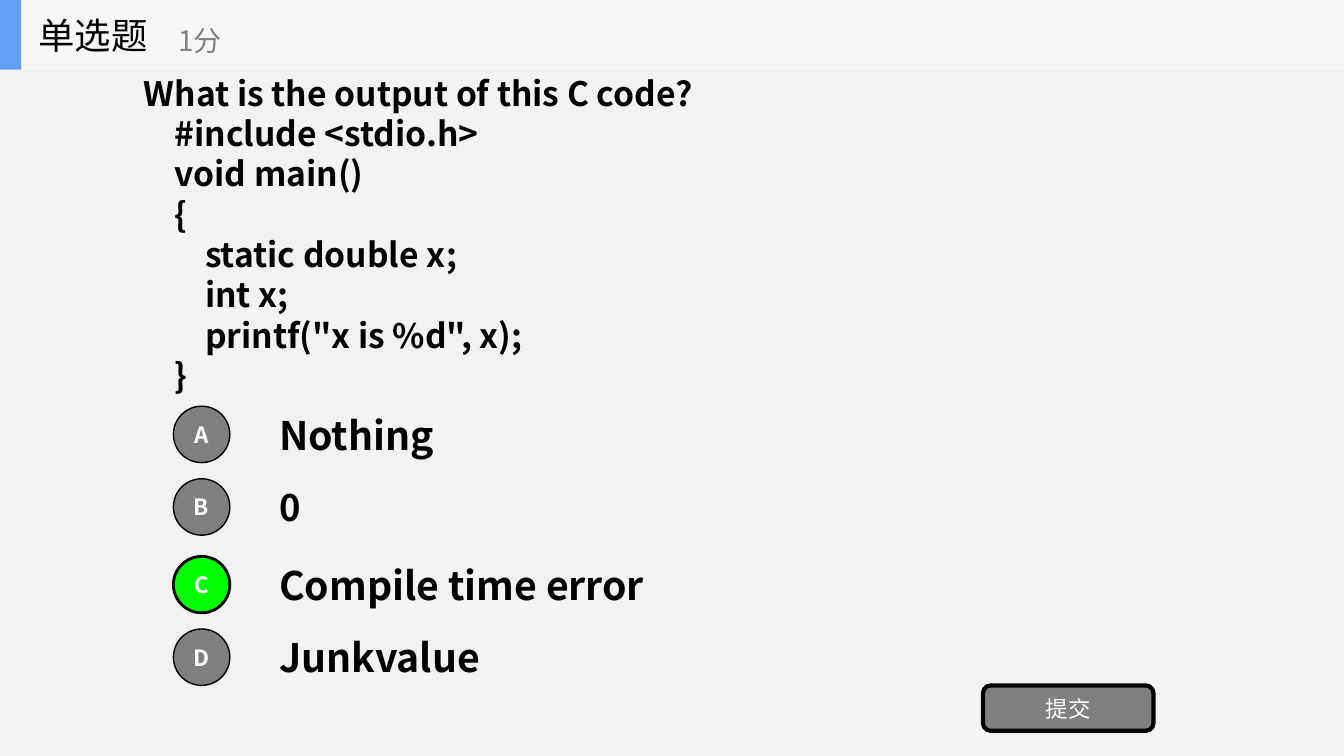
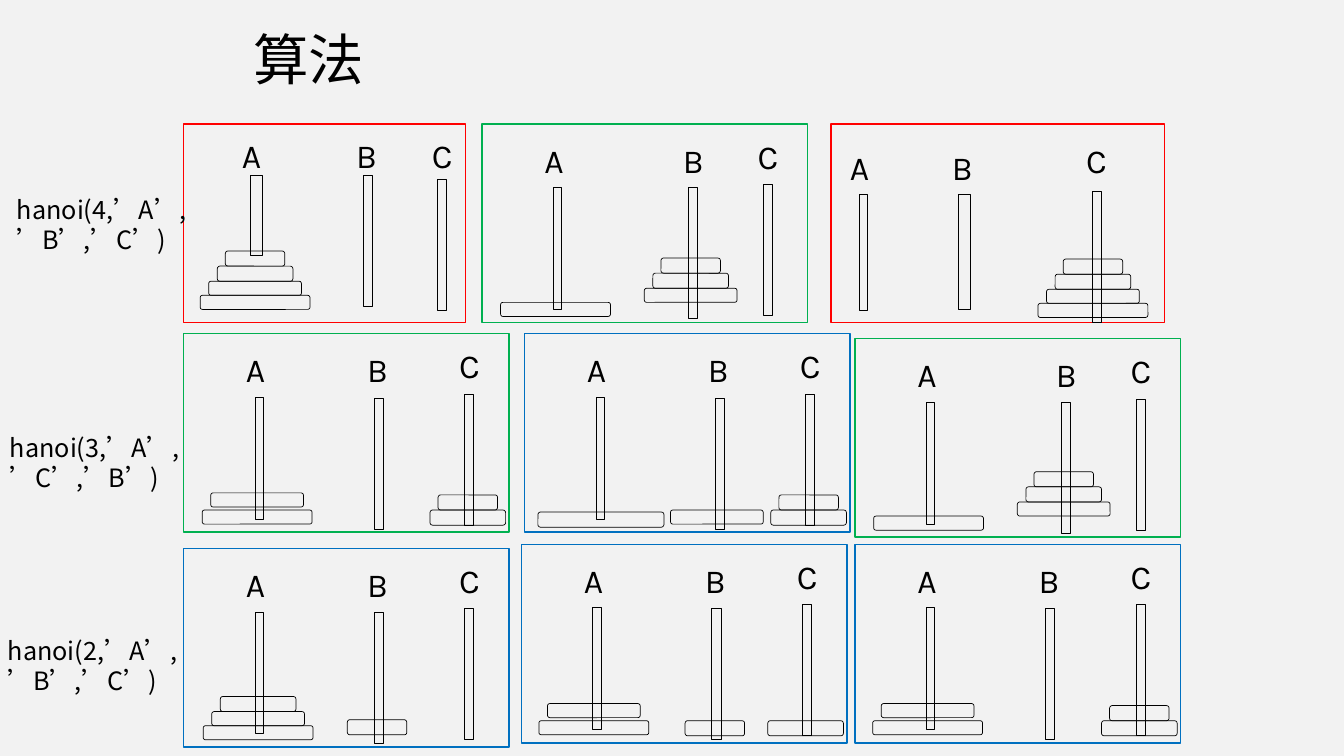
from lxml import etree
from pptx import Presentation
from pptx.dml.color import RGBColor
from pptx.enum.lang import MSO_LANGUAGE_ID
from pptx.enum.shapes import MSO_SHAPE
from pptx.enum.text import MSO_ANCHOR, MSO_AUTO_SIZE, PP_ALIGN
from pptx.oxml.ns import qn
from pptx.util import Inches, Pt

LEFT, CENTER = PP_ALIGN.LEFT, PP_ALIGN.CENTER
TOP, MIDDLE = MSO_ANCHOR.TOP, MSO_ANCHOR.MIDDLE
RECT, ROUND, OVAL = MSO_SHAPE.RECTANGLE, MSO_SHAPE.ROUNDED_RECTANGLE, MSO_SHAPE.OVAL
CHINESE = MSO_LANGUAGE_ID.SIMPLIFIED_CHINESE
NO_FIT = MSO_AUTO_SIZE.NONE

COLORS = {
    "paper": "F2F2F2", "band": "F6F7F8", "accent": "639EF4", "ink": "000000",
    "white": "FFFFFF", "gray": "808080", "correct": "00FF00",
    "red": "FF0000", "green": "00B050", "blue": "0070C0",
}
BODY_FONT, LABEL_FONT = "Noto Sans CJK SC", "Karla"

# The grid has square cells: 13.33 columns by 7.5 rows
COLUMNS, ROWS = 13.33, 7.5
CELL = Inches(1)

QUESTION = """What is the output of this C code?
    #include <stdio.h>
    void main()
    {
        static double x;
        int x;
        printf("x is %d", x);
    }""".split("\n")

# Letter, row, answer, text size, fill, line width
OPTIONS = [
    ("A", 4.03, "Nothing", 28, "gray", 1),
    ("B", 4.75, "0", 26, "gray", 1),
    ("C", 5.52, "Compile time error", 28, "correct", 2),
    ("D", 6.24, "Junkvalue", 28, "gray", 1),
]

# Pegs A, B, C within a frame: column, row, width, height, label column, label row
PEG_A = (0.71, 0.63, 0.08, 1.21, 0.52, 0.16)
PEG_C = (2.79, 0.6, 0.09, 1.3, 2.64, 0.12)
PEGS_EVEN = [PEG_A, (1.89, 0.64, 0.09, 1.3, 1.73, 0.16), PEG_C]
PEGS_RIGHT = [PEG_A, (2.05, 0.63, 0.09, 1.3, 1.9, 0.16), PEG_C]
PEGS_START = [(0.66, 0.51, 0.12, 0.79, 0.48, 0.11),
              (1.78, 0.51, 0.09, 1.3, 1.62, 0.11),
              (2.52, 0.55, 0.09, 1.3, 2.37, 0.11)]
PEGS_DONE = [(0.28, 0.7, 0.08, 1.15, 0.09, 0.23),
             (1.27, 0.7, 0.11, 1.14, 1.11, 0.23),
             (2.59, 0.67, 0.09, 1.3, 2.44, 0.16)]

# Disk width and height by rank
DISKS = {1: (0.59, 0.15), 2: (0.75, 0.15), 3: (0.92, 0.14),
         4: (1.09, 0.14), 5: (1.25, 0.15)}
FRAME_HEIGHT = 1.97

# Column, row, width, colour, pegs, stacks (centre, bottom, ranks from the bottom up)
FRAMES = [
    (1.82, 1.23, 2.8, "red", PEGS_START, [(0.71, 1.84, (4, 3, 2, 1))]),
    (4.78, 1.23, 3.23, "green", PEGS_RIGHT,
     [(0.73, 1.91, (4,)), (2.07, 1.77, (3, 2, 1))]),
    (8.24, 1.23, 3.31, "red", PEGS_DONE, [(2.6, 1.92, (4, 3, 2, 1))]),
    (1.82, 3.31, 3.23, "green", PEGS_EVEN,
     [(0.73, 1.89, (4,)), (0.73, 1.72, (3,)), (2.82, 1.9, (2, 1))]),
    (5.2, 3.31, 3.23, "blue", PEGS_EVEN,
     [(0.76, 1.92, (5,)), (1.91, 1.89, (3,)), (2.82, 1.9, (2, 1))]),
    (8.48, 3.36, 3.23, "green", PEGS_RIGHT,
     [(0.73, 1.9, (4,)), (2.07, 1.76, (3, 2, 1))]),
    (1.82, 5.44, 3.23, "blue", PEGS_EVEN,
     [(0.74, 1.9, (4, 3, 2)), (1.92, 1.85, (1,))]),
    (5.17, 5.4, 3.23, "blue", PEGS_EVEN,
     [(0.72, 1.89, (4,)), (0.72, 1.72, (3,)), (1.92, 1.9, (1,)), (2.82, 1.9, (2,))]),
    (8.48, 5.4, 3.23, "blue", PEGS_EVEN,
     [(0.72, 1.89, (4,)), (0.72, 1.72, (3,)), (2.82, 1.9, (2, 1))]),
]

CALLS = [
    (0.07, 1.88, "hanoi(4,’A’,’B’,’C’)"),
    (0, 4.24, "hanoi(3,’A’,’C’,’B’)"),
    (-0.02, 6.25, "hanoi(2,’A’,’B’,’C’)"),
]


def rgb(name):
    return RGBColor.from_string(COLORS[name])


def cells(*lengths):
    return [round(length * CELL) for length in lengths]


class SlideBuilder:
    """Holds the deck's style and the slide being built."""

    def __init__(self):
        self.deck = Presentation()
        self.deck.slide_width, self.deck.slide_height = cells(COLUMNS, ROWS)
        background = self.deck.slide_master.background.fill
        background.solid()
        background.fore_color.rgb = rgb("paper")
        self.slide = None

    def new_slide(self):
        self.slide = self.deck.slides.add_slide(self.deck.slide_layouts[5])

    def fill_text(self, box, lines, size, color="ink", bold=False, align=LEFT,
                  anchor=MIDDLE, font=BODY_FONT, inset=0.1, spacing=None):
        frame = box.text_frame
        frame.auto_size = NO_FIT
        frame.word_wrap = True
        frame.vertical_anchor = anchor
        frame.margin_left, frame.margin_right = cells(inset, inset)
        frame.margin_top, frame.margin_bottom = cells(inset / 2, inset / 2)
        frame.text = "\n".join(lines)
        for para in frame.paragraphs:
            para.alignment = align
            if spacing:
                para.line_spacing = spacing
            style = para.font
            style.size, style.bold, style.name = Pt(size), bold, font
            style.color.rgb = rgb(color)
            style.language_id = CHINESE
            # East Asian characters take the same font
            latin = style._element.find(qn("a:latin"))
            east_asian = etree.Element(qn("a:ea"), typeface=font)
            latin.addnext(east_asian)

    def title(self, place, text, size, spacing=None):
        title = self.slide.shapes.title
        title.left, title.top, title.width, title.height = cells(*place)
        self.fill_text(title, [text], size, spacing=spacing)
        # Lift the title above the shapes drawn so far
        title._element.getparent().append(title._element)

    def text(self, place, lines, size, **style):
        box = self.slide.shapes.add_textbox(*cells(*place))
        self.fill_text(box, lines, size, **style)

    def shape(self, kind, place, fill=None, line=None, width=0.5):
        shape = self.slide.shapes.add_shape(kind, *cells(*place))
        shape.shadow.inherit = False
        if fill:
            shape.fill.solid()
            shape.fill.fore_color.rgb = rgb(fill)
        else:
            shape.fill.background()
        if line:
            shape.line.color.rgb = rgb(line)
            shape.line.width = Pt(width)
        else:
            shape.line.fill.background()
        return shape

    def option(self, letter, row, answer, size, fill, width):
        self.text((2.67, row - 0.07, 9.33, 0.7), [answer], size, bold=True)
        circle = self.shape(OVAL, (1.72, row, 0.56, 0.56), fill, "ink", width)
        self.fill_text(circle, [letter], 16, "white", bold=True, align=CENTER, inset=0)

    def stack(self, center, bottom, ranks):
        for rank in ranks:
            width, height = DISKS[rank]
            bottom -= height
            self.shape(ROUND, (center - width / 2, bottom, width, height), line="ink")

    def hanoi(self, column, row, width, color, pegs, stacks):
        self.shape(RECT, (column, row, width, FRAME_HEIGHT), line=color, width=1)
        for letter, peg in zip("ABC", pegs):
            x, y, peg_width, peg_height, label_x, label_y = peg
            self.shape(RECT, (column + x, row + y, peg_width, peg_height), line="ink")
            self.text((column + label_x, row + label_y, 0.39, 0.39), [letter], 24,
                      align=CENTER, font=LABEL_FONT, inset=0)
        for center, bottom, ranks in stacks:
            self.stack(column + center, row + bottom, ranks)


def quiz_slide(builder):
    builder.new_slide()
    builder.text((1.33, 1.15, 10.67, 2.34), QUESTION, 24, bold=True)
    for option in OPTIONS:
        builder.option(*option)
    button = builder.shape(ROUND, (9.75, 6.8, 1.69, 0.45), "gray", "ink", 3)
    builder.fill_text(button, ["提交"], 16, "white", align=CENTER)
    # Header band
    builder.shape(RECT, (0, 0, COLUMNS, 0.69), "band")
    builder.shape(RECT, (0, 0, 0.21, 0.69), "accent")
    builder.title((0.28, 0, 2.08, 0.69), "单选题", 26)
    builder.text((1.67, 0.12, 2.5, 0.56), ["1分"], 20, color="gray")


def hanoi_slide(builder):
    builder.new_slide()
    builder.title((2.41, 0.28, 8.58, 0.69), "算法", 39.6, spacing=0.9)
    for frame in FRAMES:
        builder.hanoi(*frame)
    # Calls beside the rows
    for column, row, call in CALLS:
        builder.text((column, row, 2.05, 0.4), [call], 18, anchor=TOP)


def main():
    builder = SlideBuilder()
    quiz_slide(builder)
    hanoi_slide(builder)
    builder.deck.save("out.pptx")


if __name__ == "__main__":
    main()
